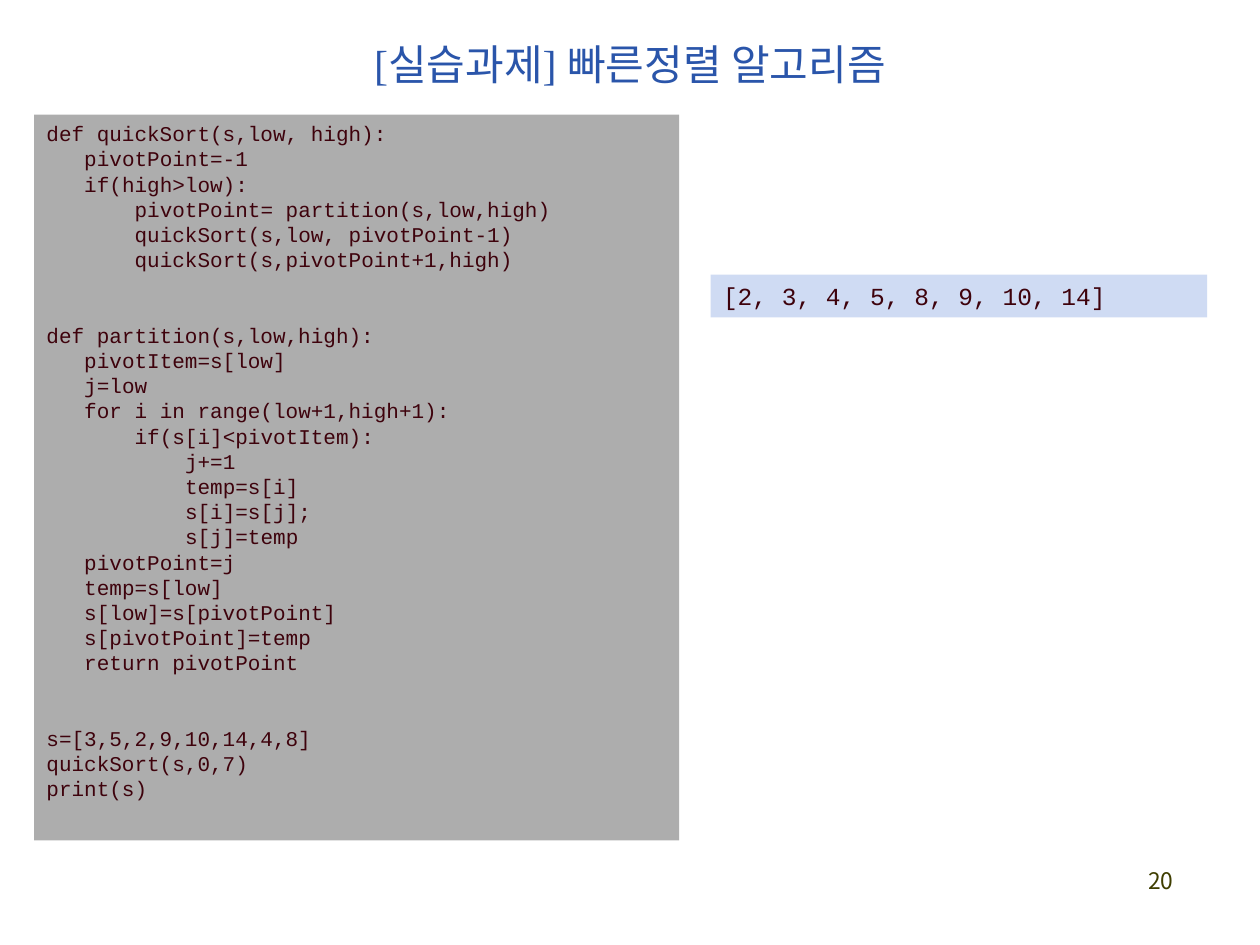
from pptx import Presentation
from pptx.dml.color import RGBColor
from pptx.enum.shapes import MSO_SHAPE
from pptx.enum.text import MSO_ANCHOR, PP_ALIGN
from pptx.oxml.ns import qn
from pptx.util import Inches, Pt

KOREAN = "Noto Sans CJK KR"
CODE_FONT = "Courier New"
CODE_COLOR = "3E020C"

deck = Presentation()
deck.slide_width, deck.slide_height = Inches(10), Inches(7.5)
page = deck.slides.add_slide(deck.slide_layouts[6])


def add_box(left, top, width, height, fill=None, anchor=MSO_ANCHOR.TOP):
    """Add a text box or a filled panel; lengths are percent of the slide."""
    across, down = deck.slide_width / 100, deck.slide_height / 100
    place = [int(left * across), int(top * down), int(width * across), int(height * down)]
    if fill:
        box = page.shapes.add_shape(MSO_SHAPE.RECTANGLE, *place)
        box.shadow.inherit = False
        box.fill.solid()
        box.fill.fore_color.rgb = RGBColor.from_string(fill)
        box.line.fill.background()
    else:
        box = page.shapes.add_textbox(*place)
    box.text_frame.word_wrap = True
    box.text_frame.vertical_anchor = anchor
    return box


def write(para, text, size, font, color, align=PP_ALIGN.LEFT):
    """Add one styled run to a paragraph."""
    para.alignment = align
    span = para.add_run()
    span.text = text
    span.font.size = Pt(size)
    span.font.name = font
    span.font.color.rgb = RGBColor.from_string(color)
    east_asian = span.font._element.makeelement(qn("a:ea"), {"typeface": KOREAN})
    span.font._element.append(east_asian)


# Page number
number = add_box(73.3, 91.07, 20.8, 6.67)
write(number.text_frame.paragraphs[0], "20", 13, KOREAN, "3F3E00", PP_ALIGN.RIGHT)

# Code listing: each block is a list of (indent in characters, line)
blocks = [
    [
        (0, "def quickSort(s,low, high):"),
        (3, "pivotPoint=-1"),
        (3, "if(high>low):"),
        (7, "pivotPoint= partition(s,low,high)"),
        (7, "quickSort(s,low, pivotPoint-1)"),
        (7, "quickSort(s,pivotPoint+1,high)"),
    ],
    [
        (0, "def partition(s,low,high):"),
        (3, "pivotItem=s[low]"),
        (3, "j=low"),
        (3, "for i in range(low+1,high+1):"),
        (7, "if(s[i]<pivotItem):"),
        (11, "j+=1"),
        (11, "temp=s[i]"),
        (11, "s[i]=s[j];"),
        (11, "s[j]=temp"),
        (3, "pivotPoint=j"),
        (3, "temp=s[low]"),
        (3, "s[low]=s[pivotPoint]"),
        (3, "s[pivotPoint]=temp"),
        (3, "return pivotPoint"),
    ],
    [
        (0, "s=[3,5,2,9,10,14,4,8]"),
        (0, "quickSort(s,0,7)"),
        (0, "print(s)"),
    ],
]
LINE_HEIGHT = 14.4
CHARACTER = Inches(0.1)  # width of one 12 pt monospaced character

code = add_box(2.7, 12.13, 51.2, 76.8, fill="ADADAD").text_frame
para = code.paragraphs[0]
for block_index, block in enumerate(blocks):
    for line_index, (indent, line) in enumerate(block):
        if block_index or line_index:
            para = code.add_paragraph()
        para.line_spacing = Pt(LINE_HEIGHT)
        if block_index and line_index == 0:
            para.space_before = Pt(2 * LINE_HEIGHT)
        write(para, line, 12, CODE_FONT, CODE_COLOR)
        para._p.get_or_add_pPr().set("marL", str(indent * CHARACTER))

# Program output
output = add_box(56.4, 29.07, 39.4, 4.53, fill="CFDBF3", anchor=MSO_ANCHOR.MIDDLE)
write(output.text_frame.paragraphs[0], "[2, 3, 4, 5, 8, 9, 10, 14]", 14, CODE_FONT, CODE_COLOR)

# Title
title = add_box(20.1, 2.8, 59.8, 7.87, anchor=MSO_ANCHOR.MIDDLE)
write(title.text_frame.paragraphs[0], "[실습과제] 빠른정렬 알고리즘", 24,
      "Times New Roman", "2A55AA", PP_ALIGN.CENTER)

deck.save("out.pptx")
